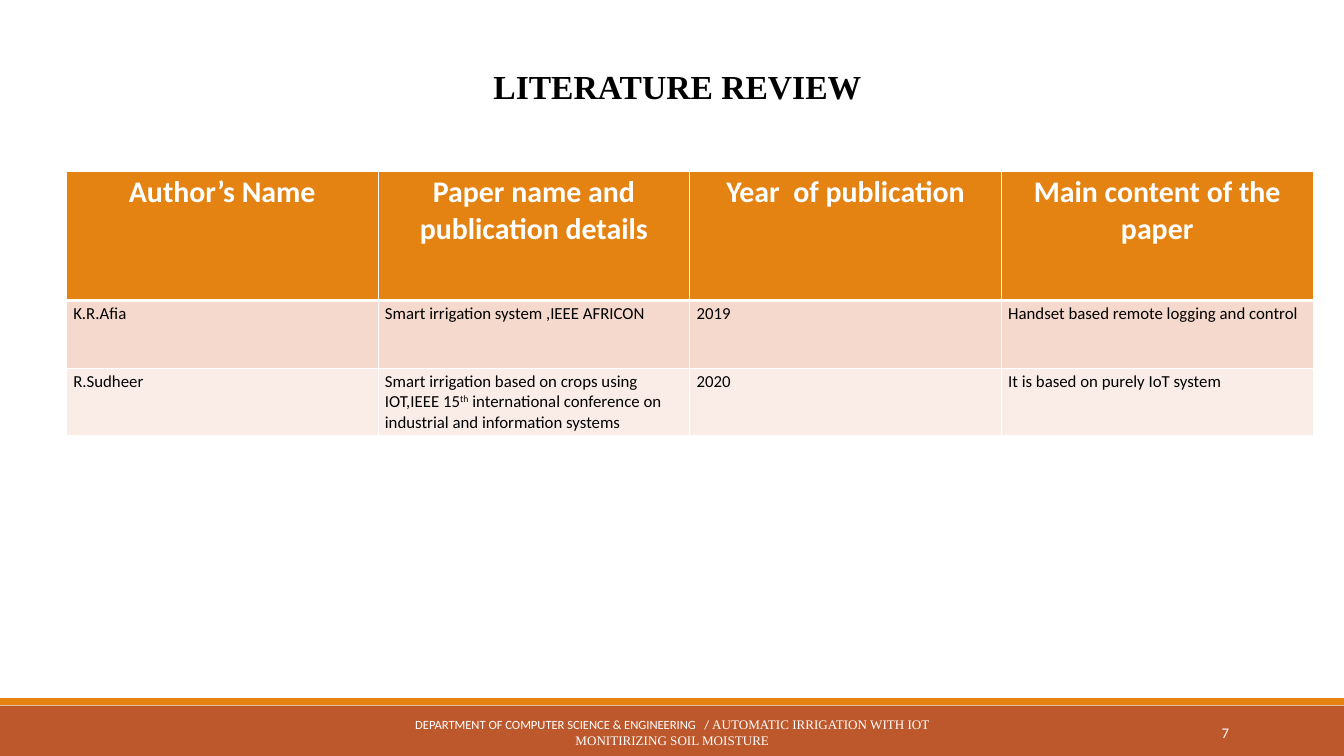
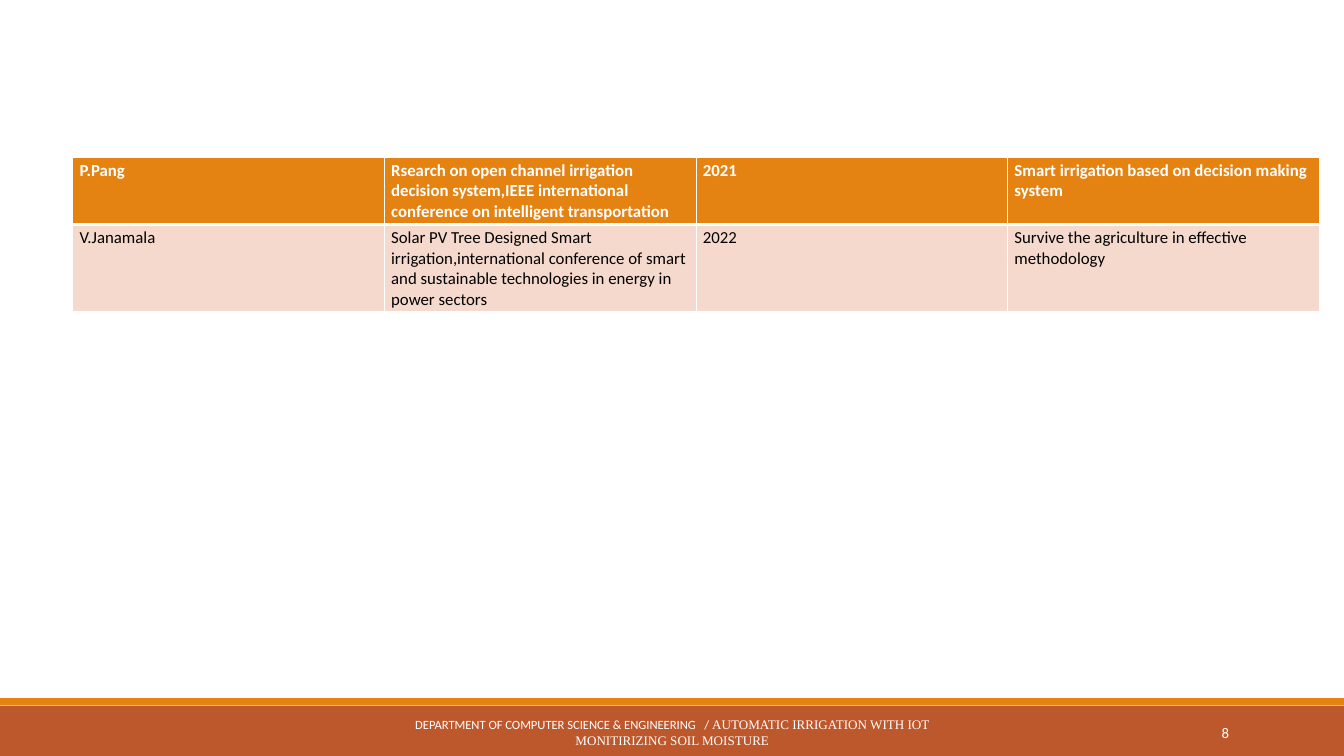
from lxml import etree
from pptx import Presentation
from pptx.dml.color import RGBColor
from pptx.enum.shapes import MSO_SHAPE
from pptx.enum.text import MSO_ANCHOR, PP_ALIGN
from pptx.oxml.ns import qn
from pptx.util import Pt

LEFT, CENTER, RIGHT = PP_ALIGN.LEFT, PP_ALIGN.CENTER, PP_ALIGN.RIGHT
TOP, MIDDLE = MSO_ANCHOR.TOP, MSO_ANCHOR.MIDDLE
RECTANGLE = MSO_SHAPE.RECTANGLE
TITLE_ONLY, BLANK = 5, 6

SANS, SERIF = "Calibri", "Times New Roman"
COLORS = {
    "orange": "E48312",
    "rust": "BD582C",
    "odd row": "F5D9CC",
    "even row": "FAEDE7",
    "white": "FFFFFF",
    "black": "000000",
}
SLIDE_WIDTH, SLIDE_HEIGHT = 1440, 810
COLUMN_WIDTH = 333.9
FIRST_PAGE = 7


def color(name):
    return RGBColor.from_string(COLORS[name])


def write(frame, text, size=18, font=SANS, fill="black", bold=False,
          align=LEFT, anchor=TOP, spacing=None):
    """Fill a frame with one paragraph; text is a string or (string, changes) pairs."""
    frame.word_wrap = True
    frame.vertical_anchor = anchor
    paragraph = frame.paragraphs[0]
    paragraph.alignment = align
    if spacing:
        paragraph.line_spacing = spacing
    parts = [(text, {})] if isinstance(text, str) else text
    for words, changes in parts:
        run = paragraph.add_run()
        run.text = words
        run.font.name = changes.get("font", font)
        run.font.size = Pt(changes.get("size", size))
        run.font.bold = bold
        run.font.color.rgb = color(fill)
        if changes.get("superscript"):
            run._r.get_or_add_rPr().set("baseline", "30000")


def set_borders(cell, **widths):
    properties = cell._tc.get_or_add_tcPr()
    for side in "LRTB":
        line = etree.SubElement(properties, qn(f"a:ln{side}"), w=str(Pt(widths.get(side, 1))))
        solid = etree.SubElement(line, qn("a:solidFill"))
        etree.SubElement(solid, qn("a:srgbClr"), val=COLORS["white"])


class Deck:
    def __init__(self):
        self.presentation = Presentation()
        self.presentation.slide_width = Pt(SLIDE_WIDTH)
        self.presentation.slide_height = Pt(SLIDE_HEIGHT)
        self.slide = None

    def new_slide(self, layout):
        slides = self.presentation.slides
        self.slide = slides.add_slide(self.presentation.slide_layouts[layout])
        self.footer(FIRST_PAGE + len(slides) - 1)

    def band(self, top, height, fill):
        band = self.slide.shapes.add_shape(RECTANGLE, 0, Pt(top), Pt(SLIDE_WIDTH), Pt(height))
        band.shadow.inherit = False
        band.fill.solid()
        band.fill.fore_color.rgb = color(fill)
        band.line.fill.background()

    def text(self, left, top, width, height, text, **style):
        box = self.slide.shapes.add_textbox(Pt(left), Pt(top), Pt(width), Pt(height))
        write(box.text_frame, text, **style)

    def footer(self, page):
        self.band(756, 54, "rust")
        self.band(748, 7.5, "orange")
        self.text(435.6, 763.2, 569.5, 43.2, [
            ("DEPARTMENT OF COMPUTER SCIENCE & ENGINEERING   / ", {}),
            ("AUTOMATIC IRRIGATION WITH IOT MONITIRIZING SOIL MOISTURE",
             {"font": SERIF, "size": 14}),
        ], size=13.5, fill="white", align=CENTER, anchor=MIDDLE)
        self.text(1169.3, 763.2, 154.8, 43.2, str(page),
                  size=15.8, fill="white", align=RIGHT, anchor=MIDDLE)

    def title(self, text):
        title = self.slide.shapes.title
        title.left, title.top, title.width, title.height = Pt(44), Pt(45.4), Pt(1327.7), Pt(64.8)
        title.text_frame.margin_left = Pt(43.2)
        write(title.text_frame, text, size=36, font=SERIF, bold=True, align=CENTER, spacing=1.5)

    def table(self, left, top, heights, rows, **header_style):
        columns = len(rows[0])
        table = self.slide.shapes.add_table(
            len(rows), columns, Pt(left), Pt(top),
            Pt(COLUMN_WIDTH * columns), Pt(sum(heights))).table
        for column in table.columns:
            column.width = Pt(COLUMN_WIDTH)
        for r, (height, texts) in enumerate(zip(heights, rows)):
            table.rows[r].height = Pt(height)
            # The first row is the header, the others alternate
            if r == 0:
                fill, borders = "orange", {"B": 3}
                style = {"fill": "white", "bold": True, **header_style}
            else:
                fill = "odd row" if r % 2 else "even row"
                borders, style = {"T": 3 if r == 1 else 1}, {}
            for c, text in enumerate(texts):
                cell = table.cell(r, c)
                set_borders(cell, **borders)
                cell.fill.solid()
                cell.fill.fore_color.rgb = color(fill)
                write(cell.text_frame, text, **style)


def main():
    deck = Deck()

    # Literature review, first papers
    deck.new_slide(TITLE_ONLY)
    deck.title("LITERATURE REVIEW")
    deck.table(71.3, 183.2, [138.6, 72.5, 72.5], [
        ["Author’s Name", "Paper name and publication details",
         "Year  of publication", "Main content of the paper"],
        ["K.R.Afia", "Smart irrigation system ,IEEE AFRICON",
         "2019", "Handset based remote logging and control"],
        ["R.Sudheer",
         [("Smart irrigation based on crops using IOT,IEEE 15", {}),
          ("th", {"superscript": True}),
          (" international conference on industrial and information systems", {})],
         "2020", "It is based on purely IoT system"],
    ], size=32, align=CENTER)

    # Literature review, further papers
    deck.new_slide(BLANK)
    deck.table(78, 168.3, [64.8, 64.8], [
        ["P.Pang",
         "Rsearch on open channel irrigation decision system,IEEE international "
         "conference on intelligent transportation",
         "2021", "Smart irrigation based on decision making system"],
        ["V.Janamala",
         "Solar PV Tree Designed Smart irrigation,international conference of smart "
         "and sustainable technologies in energy in power sectors",
         "2022", "Survive the agriculture in effective methodology"],
    ])

    deck.presentation.save("out.pptx")


if __name__ == "__main__":
    main()
